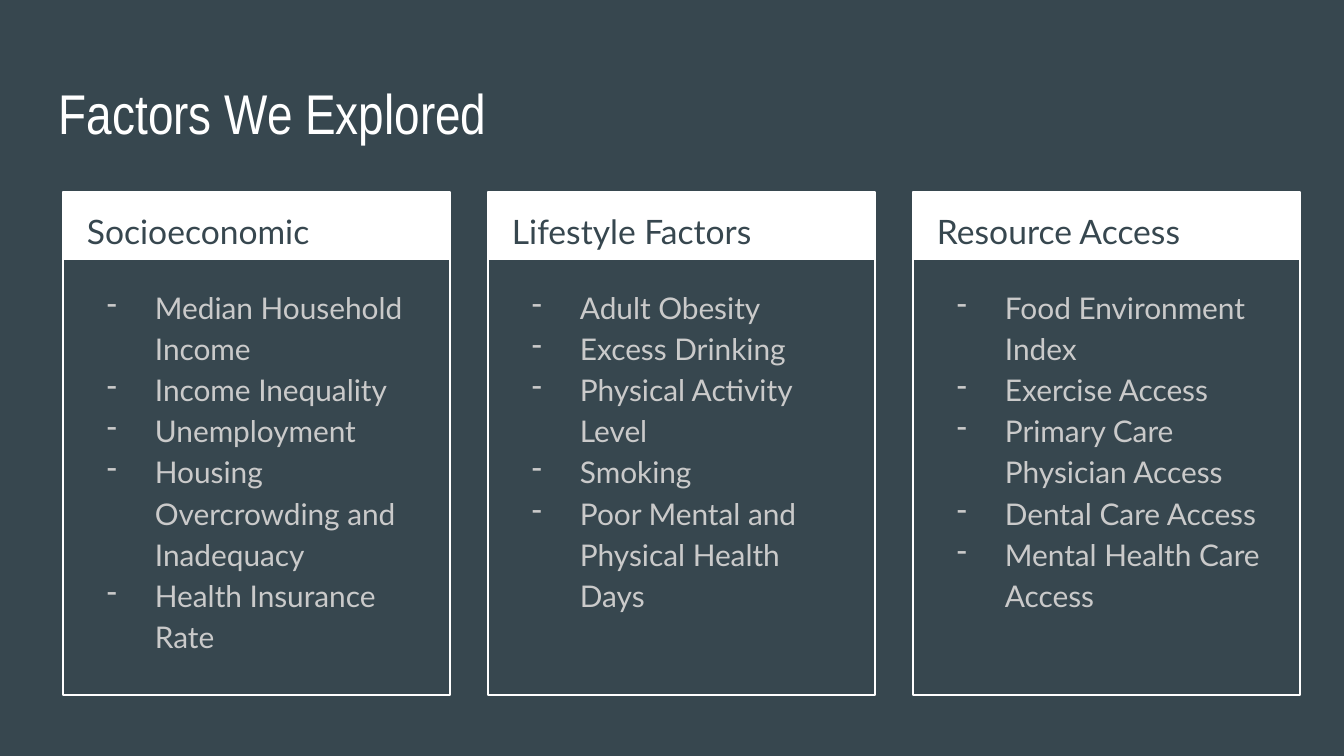
from dataclasses import dataclass

from lxml.etree import SubElement
from pptx import Presentation
from pptx.dml.color import RGBColor
from pptx.enum.shapes import MSO_SHAPE
from pptx.enum.text import MSO_ANCHOR, PP_ALIGN
from pptx.oxml.ns import qn
from pptx.shapes.autoshape import Shape
from pptx.slide import Slide
from pptx.util import Emu, Pt

EMU_PER_PX = 914400 / 134.4
COLORS = {"slate": "37474F", "white": "FFFFFF", "grey": "CACACA"}

CARD_LEFT, CARD_TOP, CARD_PITCH = 63, 192, 425
CARD_WIDTH, CARD_HEIGHT, HEADER_HEIGHT = 387, 503, 68
INSET = 13
BULLET_INDENT, BULLET_HANGING = 67, 48


@dataclass(frozen=True)
class Box:
    left: int
    top: int
    width: int
    height: int


@dataclass(frozen=True)
class TextStyle:
    font: str
    size: int
    color: str
    line_spacing: float = 1.15


@dataclass(frozen=True)
class FactorGroup:
    heading: str
    factors: tuple[str, ...]


TITLE = TextStyle("Arial Narrow", 30, "white", 1.0)
HEADING = TextStyle("Lato", 18, "slate")
FACTOR = TextStyle("Lato", 16, "grey")

GROUPS = (
    FactorGroup("Socioeconomic", (
        "Median Household Income", "Income Inequality", "Unemployment",
        "Housing Overcrowding and Inadequacy", "Health Insurance Rate")),
    FactorGroup("Lifestyle Factors", (
        "Adult Obesity", "Excess Drinking", "Physical Activity Level",
        "Smoking", "Poor Mental and Physical Health Days")),
    FactorGroup("Resource Access", (
        "Food Environment Index", "Exercise Access",
        "Primary Care Physician Access", "Dental Care Access",
        "Mental Health Care Access")),
)


def px(length: int) -> Emu:
    return Emu(round(length * EMU_PER_PX))


def rgb(name: str) -> RGBColor:
    return RGBColor.from_string(COLORS[name])


def place(box: Box) -> tuple[Emu, ...]:
    return px(box.left), px(box.top), px(box.width), px(box.height)


def add_rectangle(slide: Slide, box: Box, fill: str = "", line: str = "") -> Shape:
    rectangle = slide.shapes.add_shape(MSO_SHAPE.RECTANGLE, *place(box))
    rectangle.shadow.inherit = False
    if fill:
        rectangle.fill.solid()
        rectangle.fill.fore_color.rgb = rgb(fill)
    else:
        rectangle.fill.background()
    if line:
        rectangle.line.color.rgb = rgb(line)
        rectangle.line.width = Pt(0.75)
    else:
        rectangle.line.fill.background()
    return rectangle


def add_dash(paragraph) -> None:
    properties = paragraph._p.get_or_add_pPr()
    properties.set("marL", str(px(BULLET_INDENT)))
    properties.set("indent", str(-px(BULLET_HANGING)))
    bullet_color = SubElement(properties, qn("a:buClr"))
    SubElement(bullet_color, qn("a:srgbClr"), val=COLORS["grey"])
    SubElement(properties, qn("a:buChar"), char="-")


def add_text(slide: Slide, box: Box, lines: tuple[str, ...], style: TextStyle,
             dashed: bool = False) -> None:
    frame = slide.shapes.add_textbox(*place(box)).text_frame
    frame.word_wrap = True
    frame.vertical_anchor = MSO_ANCHOR.TOP
    frame.margin_left = frame.margin_right = px(INSET)
    frame.margin_top = frame.margin_bottom = px(INSET)
    for index, line in enumerate(lines):
        paragraph = frame.add_paragraph() if index else frame.paragraphs[0]
        paragraph.text = line
        if dashed:
            add_dash(paragraph)
        paragraph.alignment = PP_ALIGN.LEFT
        paragraph.line_spacing = style.line_spacing
        paragraph.font.name = style.font
        paragraph.font.size = Pt(style.size)
        paragraph.font.color.rgb = rgb(style.color)


def add_card(slide: Slide, left: int, group: FactorGroup) -> None:
    add_rectangle(slide, Box(left, CARD_TOP, CARD_WIDTH, HEADER_HEIGHT), fill="white")
    add_rectangle(slide, Box(left, CARD_TOP, CARD_WIDTH, CARD_HEIGHT), line="white")
    add_text(slide, Box(left + 11, CARD_TOP, 367, HEADER_HEIGHT),
             (group.heading,), HEADING)
    add_text(slide, Box(left + 12, CARD_TOP + 79, 364, 411),
             group.factors, FACTOR, dashed=True)


def main() -> None:
    presentation = Presentation()
    presentation.slide_width, presentation.slide_height = px(1344), px(756)
    slide = presentation.slides.add_slide(presentation.slide_layouts[6])
    slide.background.fill.solid()
    slide.background.fill.fore_color.rgb = rgb("slate")

    # Title
    add_text(slide, Box(46, 66, 1253, 85), ("Factors We Explored",), TITLE)

    # One card per group of factors
    for column, group in enumerate(GROUPS):
        add_card(slide, CARD_LEFT + column * CARD_PITCH, group)

    presentation.save("out.pptx")


if __name__ == "__main__":
    main()
